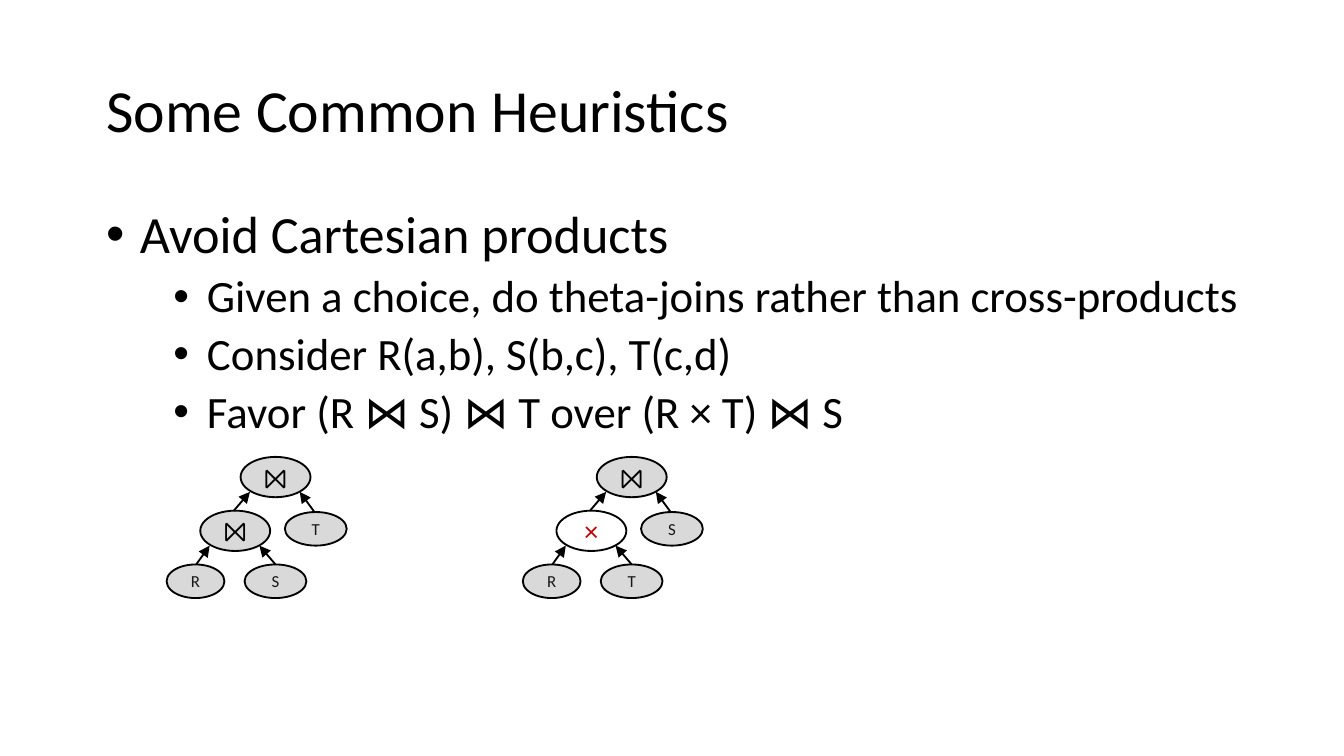
from lxml import etree
from pptx import Presentation
from pptx.dml.color import RGBColor
from pptx.enum import shapes, text
from pptx.oxml.ns import qn
from pptx.util import Inches, Pt

BLACK = RGBColor(0x00, 0x00, 0x00)
INK = RGBColor(0x18, 0x17, 0x17)
GREY = RGBColor(0xD9, 0xD9, 0xD9)
WHITE = RGBColor(0xFF, 0xFF, 0xFF)
RED = RGBColor(0xC0, 0x00, 0x00)


def write(paragraph, words, size, font="Calibri", color=BLACK,
          align=text.PP_ALIGN.LEFT, spacing=1.0, before=0):
    paragraph.alignment = align
    paragraph.line_spacing = spacing
    paragraph.space_before = Pt(before)
    run = paragraph.add_run()
    run.text = words
    run.font.size = Pt(size)
    run.font.name = font
    run.font.color.rgb = color


# Widescreen slide, 16:9
prs = Presentation()
prs.slide_width = Inches(10)
prs.slide_height = Inches(10) * 9 // 16
slide = prs.slides.add_slide(prs.slide_layouts[1])

# Title
heading = slide.shapes.title
heading.left, heading.top = Inches(0.69), Inches(0.3)
heading.width, heading.height = Inches(8.62), Inches(1.09)
heading.text_frame.auto_size = text.MSO_AUTO_SIZE.NONE
heading.text_frame.vertical_anchor = text.MSO_ANCHOR.MIDDLE
write(heading.text_frame.paragraphs[0], "Some Common Heuristics", 32, spacing=0.9)

# Bulleted advice
advice = slide.placeholders[1]
advice.left, advice.top = Inches(0.69), Inches(1.5)
advice.width, advice.height = Inches(8.64), Inches(3.57)
advice.text_frame.auto_size = text.MSO_AUTO_SIZE.NONE
points = [
    (0, "Avoid Cartesian products"),
    (1, "Given a choice, do theta-joins rather than cross-products"),
    (1, "Consider R(a,b), S(b,c), T(c,d)"),
    (1, "Favor (R ⋈ S) ⋈ T over (R × T) ⋈ S"),
]
for number, (level, words) in enumerate(points):
    frame = advice.text_frame
    point = frame.add_paragraph() if number else frame.paragraphs[0]
    point.level = level
    properties = point._p.get_or_add_pPr()
    properties.set("marL", str(Inches(0.25 + 0.5 * level)))
    properties.set("indent", str(Inches(-0.25)))
    etree.SubElement(properties, qn("a:buFont"), typeface="Arial")
    etree.SubElement(properties, qn("a:buChar"), char="•")
    write(point, words, 28 - 4 * level, spacing=0.9, before=5 * level)

# Join trees: left edge, inner operator with its fill and text style, three leaves
JOIN = ("⨝", GREY, dict(size=15, font="Arial"))
CROSS = ("×", WHITE, dict(size=15, color=RED))
trees = [
    (3.89, CROSS, "R", "T", "S"),
    (1.24, JOIN, "R", "S", "T"),
]
leaf_style = dict(size=9, color=INK)
for left, inner, first, second, third in trees:
    tree = slide.shapes.add_group_shape().shapes

    # Nodes: offset from the left edge, top, width, height
    nodes = [
        (0.55, 3.4, 0.52, 0.3, JOIN),
        (0.88, 3.81, 0.46, 0.25, (third, GREY, leaf_style)),
        (0.25, 3.8, 0.52, 0.3, inner),
        (0, 4.2, 0.43, 0.25, (first, GREY, leaf_style)),
        (0.58, 4.2, 0.46, 0.25, (second, GREY, leaf_style)),
    ]
    for x, y, width, height, (label, fill, style) in nodes:
        node = tree.add_shape(shapes.MSO_SHAPE.OVAL, Inches(left + x), Inches(y),
                              Inches(width), Inches(height))
        node.shadow.inherit = False
        node.fill.solid()
        node.fill.fore_color.rgb = fill
        node.line.color.rgb = BLACK
        node.line.width = Pt(1)
        frame = node.text_frame
        frame.margin_left = frame.margin_right = Inches(0.07)
        frame.margin_top = frame.margin_bottom = Inches(0.04)
        frame.vertical_anchor = text.MSO_ANCHOR.MIDDLE
        write(frame.paragraphs[0], label, align=text.PP_ALIGN.CENTER, **style)

    # Arrows from each child up to its parent
    arrows = [
        (0.22, 4.2, 0.32, 4.06),
        (0.81, 4.2, 0.69, 4.06),
        (0.5, 3.8, 0.62, 3.66),
        (1.1, 3.81, 0.99, 3.66),
    ]
    for x1, y1, x2, y2 in arrows:
        arrow = tree.add_connector(shapes.MSO_CONNECTOR.STRAIGHT,
                                   Inches(left + x1), Inches(y1),
                                   Inches(left + x2), Inches(y2))
        arrow.line.color.rgb = BLACK
        arrow.line.width = Pt(1)
        etree.SubElement(arrow.line._get_or_add_ln(), qn("a:tailEnd"), type="triangle")
        etree.SubElement(arrow._element.spPr, qn("a:effectLst"))

prs.save("out.pptx")
